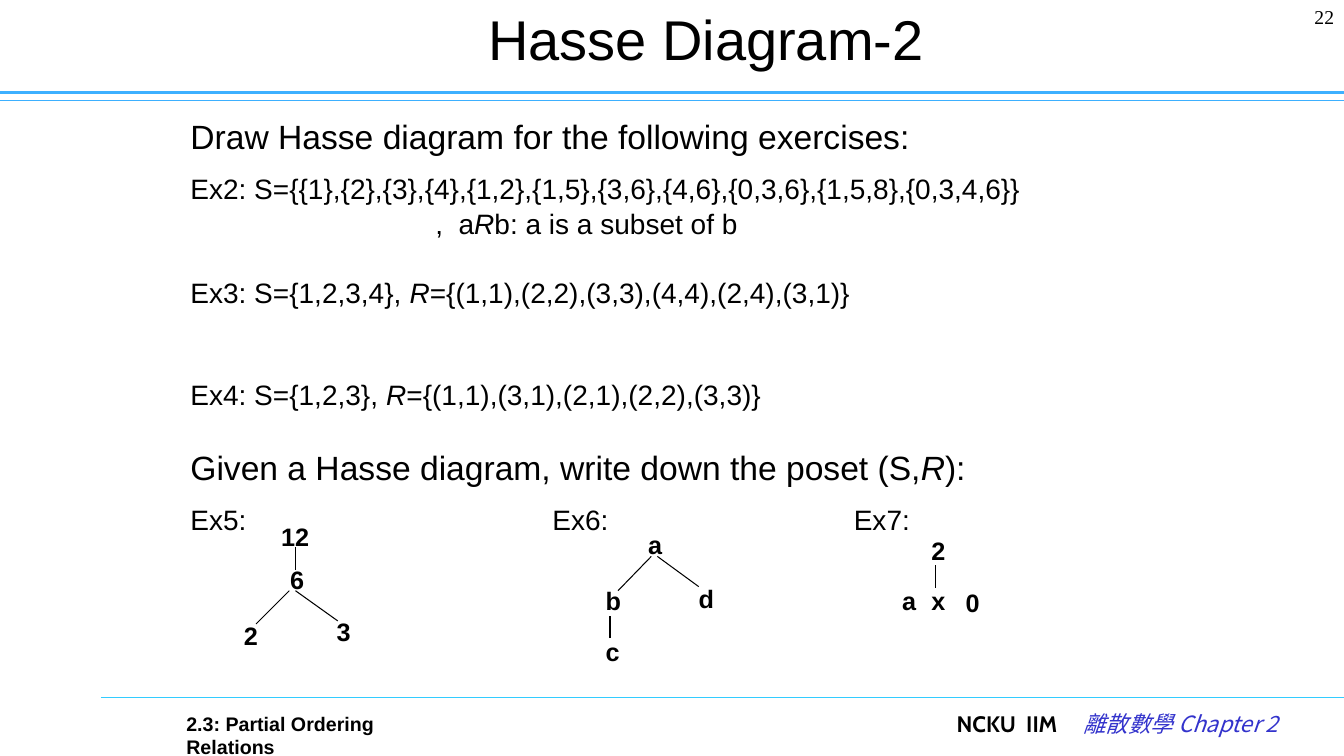
from lxml import etree
from pptx import Presentation
from pptx.dml.color import RGBColor
from pptx.enum.shapes import MSO_CONNECTOR
from pptx.enum.text import MSO_ANCHOR, PP_ALIGN
from pptx.oxml.ns import qn
from pptx.util import Inches, Pt

LEFT, CENTER, RIGHT = PP_ALIGN.LEFT, PP_ALIGN.CENTER, PP_ALIGN.RIGHT
TOP, MIDDLE = MSO_ANCHOR.TOP, MSO_ANCHOR.MIDDLE
STRAIGHT = MSO_CONNECTOR.STRAIGHT

BLACK = RGBColor(0x00, 0x00, 0x00)
CHAPTER_BLUE = RGBColor(0x33, 0x33, 0xCC)
HEADER_BLUE = RGBColor(0x3D, 0xB0, 0xFF)
FOOTER_BLUE = RGBColor(0x33, 0xCC, 0xFF)

# Content: *...* marks italics; each entry is text, size, space before, tab stops
EXERCISES = [
    ("Draw Hasse diagram for the following exercises:", 24, 0, ()),
    ("Ex2: S={{1},{2},{3},{4},{1,2},{1,5},{3,6},{4,6},{0,3,6},{1,5,8},{0,3,4,6}}"
     "\v\t,\ta*R*b: a is a subset of b", 20, 9.6, (2.43, 2.66)),
    ("Ex3: S={1,2,3,4}, *R*={(1,1),(2,2),(3,3),(4,4),(2,4),(3,1)}", 20, 24, ()),
    ("Ex4: S={1,2,3}, *R*={(1,1),(3,1),(2,1),(2,2),(3,3)}", 20, 48, ()),
    ("Given a Hasse diagram, write down the poset (S,*R*):", 24, 24, ()),
    ("Ex5:\tEx6:\tEx7:", 20, 9.6, (3.59, 6.58)),
]

# Hasse diagrams: nodes are label, left, top; edges are x1, y1, x2, y2
DIAGRAMS = [
    {"nodes": [("12", 2.69, 5.12), ("6", 2.78, 5.55), ("3", 3.24, 6.07),
               ("2", 2.32, 6.1)],
     "edges": [(2.54, 6.19, 2.87, 5.86), (3.35, 6.16, 2.93, 5.86),
               (2.93, 5.65, 2.93, 5.43)]},
    {"nodes": [("a", 6.33, 5.2), ("b", 5.91, 5.76), ("d", 6.83, 5.74),
               ("c", 5.91, 6.26)],
     "edges": [(6.13, 5.86, 6.46, 5.52), (6.93, 5.82, 6.52, 5.52),
               (6.05, 6.33, 6.05, 6.11)]},
    {"nodes": [("2", 9.14, 5.26), ("a", 8.85, 5.76), ("x", 9.14, 5.76),
               ("0", 9.48, 5.78)],
     "edges": [(9.28, 5.83, 9.28, 5.61)]},
]

# Rules: x1, y1, x2, y2, colour, width
RULES = [
    (0, 1, 13.33, 1, HEADER_BLUE, 0.75),
    (0, 0.92, 13.33, 0.92, HEADER_BLUE, 2.5),
    (1, 6.92, 13.33, 6.92, FOOTER_BLUE, 0.75),
]

prs = Presentation()
prs.slide_width, prs.slide_height = Inches(13.33), Inches(7.5)
slide = prs.slides.add_slide(prs.slide_layouts[6])


def set_tabs(paragraph, stops):
    if stops:
        tab_list = etree.SubElement(paragraph._p.get_or_add_pPr(), qn("a:tabLst"))
        for stop in stops:
            etree.SubElement(tab_list, qn("a:tab"), pos=str(Inches(stop)), algn="l")


def write(paragraph, text, size=18, font="Arial", color=BLACK, bold=False,
          italic=False, align=LEFT):
    paragraph.alignment = align
    for i, part in enumerate(text.split("*")):
        for j, line in enumerate(part.split("\v")):
            if j:
                paragraph.add_line_break()
            run = paragraph.add_run()
            run.text = line
            run.font.size, run.font.name = Pt(size), font
            run.font.bold, run.font.italic = bold, italic or i % 2 == 1
            run.font.color.rgb = color
            etree.SubElement(run._r.get_or_add_rPr(), qn("a:ea"), typeface=font)


def add_box(left, top, width, height, anchor=TOP, wrap=True):
    frame = slide.shapes.add_textbox(
        Inches(left), Inches(top), Inches(width), Inches(height)).text_frame
    frame.word_wrap, frame.vertical_anchor = wrap, anchor
    return frame


def add_line(x1, y1, x2, y2, color=BLACK, width=0.75):
    line = slide.shapes.add_connector(
        STRAIGHT, Inches(x1), Inches(y1), Inches(x2), Inches(y2))
    line.line.color.rgb, line.line.width = color, Pt(width)
    etree.SubElement(line._element.spPr, qn("a:effectLst"))


# Header and footer
for rule in RULES:
    add_line(*rule)
write(add_box(12.22, 0, 1.11, 0.5).paragraphs[0], "22", size=14,
      font="Times New Roman", align=RIGHT)
write(add_box(1.78, 0, 10.44, 0.75, anchor=MIDDLE).paragraphs[0],
      "Hasse Diagram-2", size=40, align=CENTER)
write(add_box(1.75, 7.01, 2.9, 0.33).paragraphs[0],
      "2.3: Partial Ordering Relations", size=14, bold=True)
course = add_box(9.39, 7, 3.9, 0.5).paragraphs[0]
set_tabs(course, (0.69, 1.26))
write(course, "NCKU\tIIM\t", size=16, font="Cabin", bold=True)
write(course, "離散數學 Chapter 2", size=16, font="Noto Sans CJK SC",
      color=CHAPTER_BLUE, italic=True)

# Exercises
body = add_box(1.79, 1.08, 9.93, 5.92)
for i, (text, size, gap, stops) in enumerate(EXERCISES):
    paragraph = body.add_paragraph() if i else body.paragraphs[0]
    paragraph.line_spacing = 1.05
    if gap:
        paragraph.space_before = Pt(gap)
    set_tabs(paragraph, stops)
    write(paragraph, text, size=size)

# Hasse diagrams
for diagram in DIAGRAMS:
    for label, left, top in diagram["nodes"]:
        width = 0.2 + 0.14 * len(label)
        write(add_box(left, top, width, 0.4, wrap=False).paragraphs[0],
              label, bold=True)
    for edge in diagram["edges"]:
        add_line(*edge)

prs.save("out.pptx")
